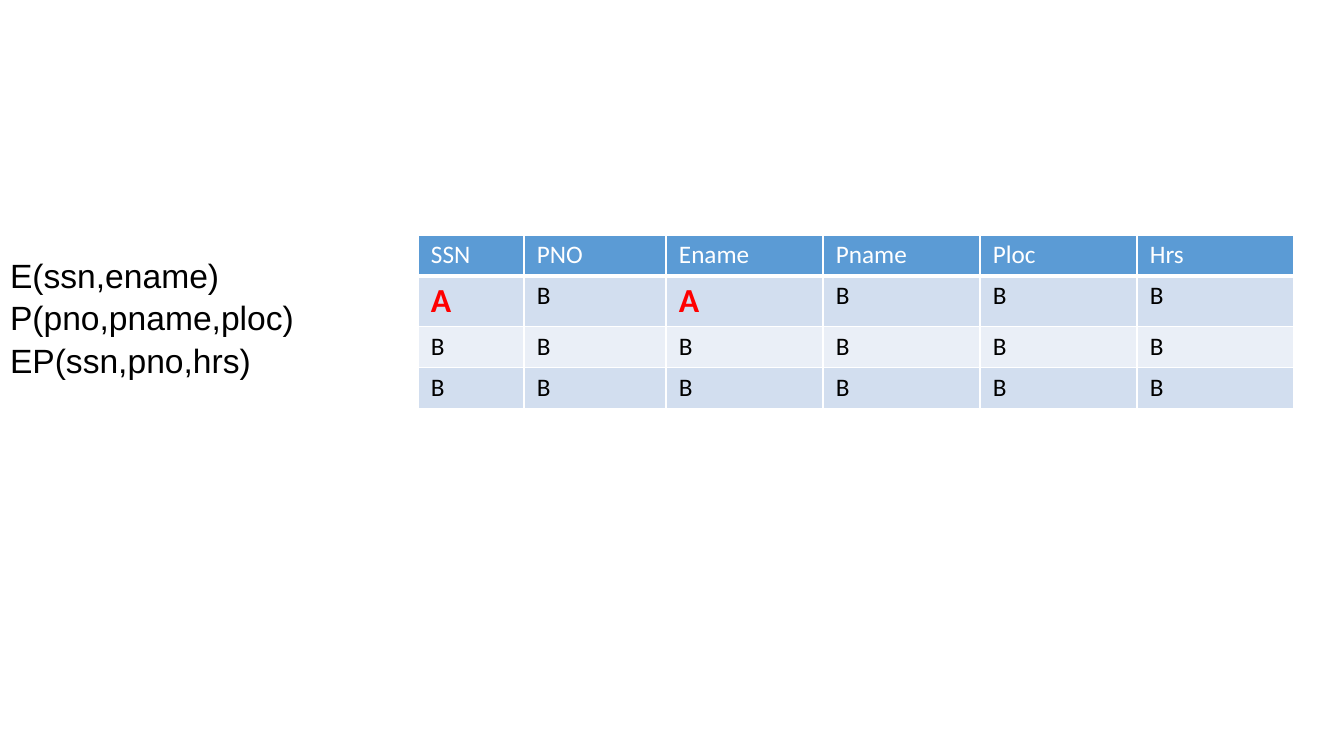
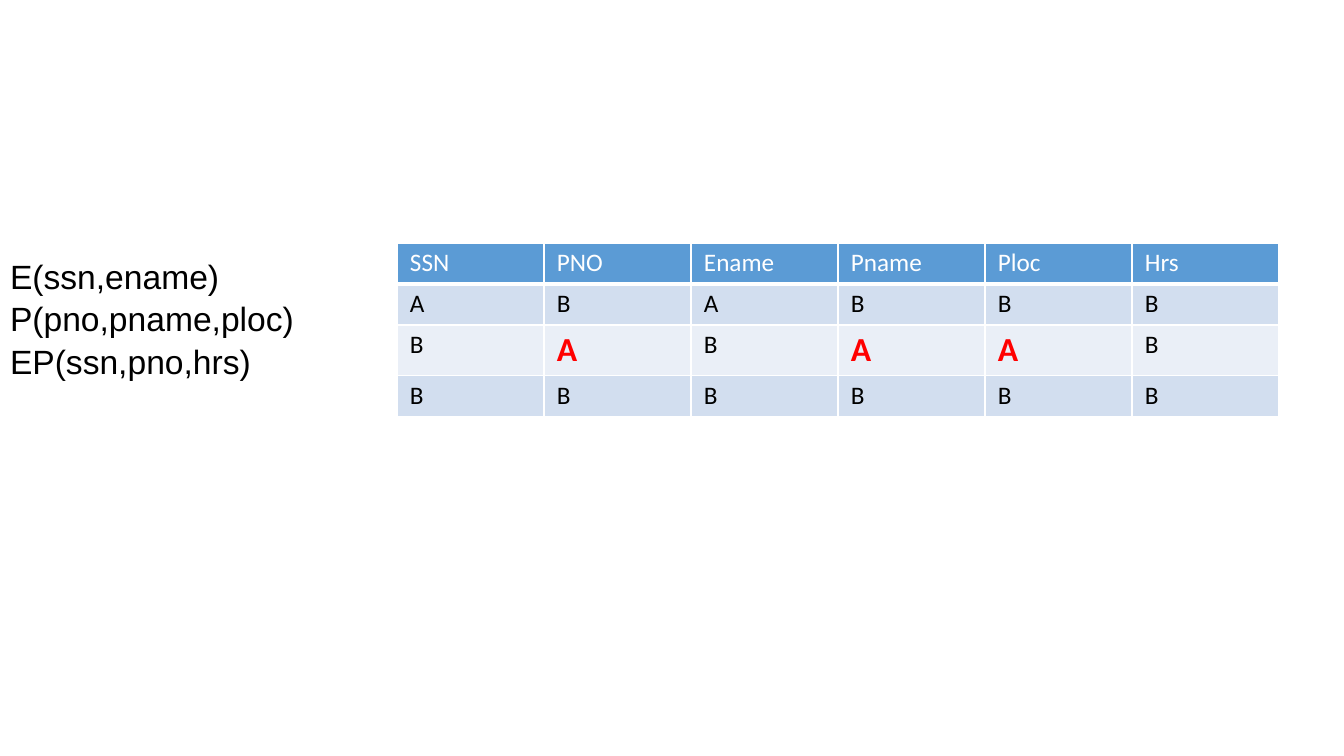
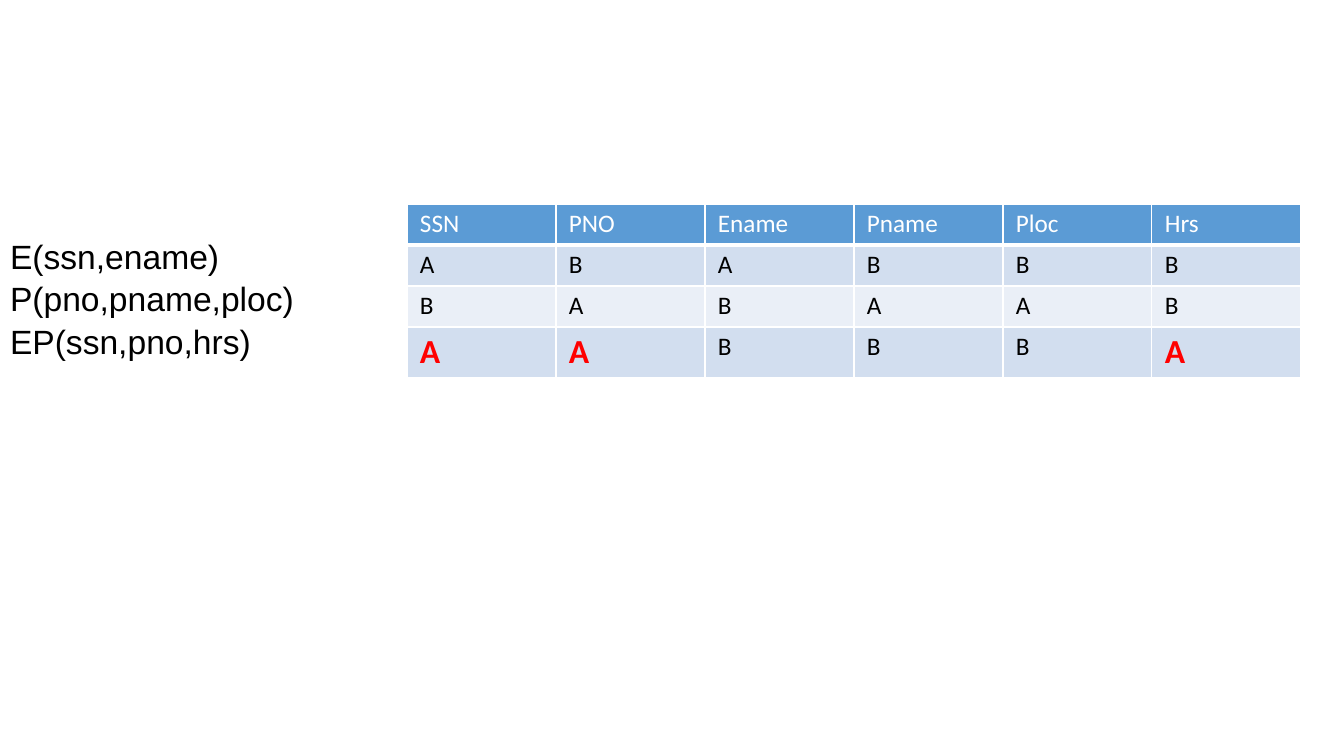
"""Build three slides that mark which attributes each relation of a schema covers."""
from dataclasses import dataclass

from pptx import Presentation
from pptx.dml.color import RGBColor as RGB
from pptx.enum.text import MSO_ANCHOR as ANCHOR, PP_ALIGN as ALIGN
from pptx.oxml.ns import qn
from pptx.util import Pt
from lxml.etree import SubElement

ATTRIBUTES = ("SSN", "PNO", "Ename", "Pname", "Ploc", "Hrs")
RELATIONS = ("E(ssn,ename)", "P(pno,pname,ploc)", "EP(ssn,pno,hrs)")

STEPS = (
    dict(marks=("ABABBB", "BBBBBB", "BBBBBB"), current=0, schema_top=108,
         schema_inset=168, left=418, top=235, widths=(106, 142) + (157,) * 4),
    dict(marks=("ABABBB", "BABAAB", "BBBBBB"), current=1, schema_top=109,
         schema_inset=168, left=397, top=243, widths=(147,) * 6),
    dict(marks=("ABABBB", "BABAAB", "AABBBA"), current=2, schema_top=109,
         schema_inset=128, left=407, top=204, widths=(149,) * 6),
)

SLIDE_WIDTH, SLIDE_HEIGHT = 1344, 756
ROW_HEIGHT = 41
INSET_X, INSET_Y = 10, 5
CELL_INSET_X = 13


@dataclass(frozen=True)
class Theme:
    ink: str = "000000"
    accent: str = "FF0000"
    header: str = "5B9BD5"
    bands: tuple = ("D2DEEF", "EAEFF7")
    paper: str = "FFFFFF"
    schema_font: str = "Arial"
    table_font: str = "Calibri"
    large: int = 24
    normal: int = 18
    rule: int = 1
    header_rule: int = 3


THEME = Theme()


def px(length):
    return round(length * 12192000 / SLIDE_WIDTH)


def write(frame, *lines, font, size=THEME.normal, color=THEME.ink, bold=False,
          spacing=None):
    for index, line in enumerate(lines):
        paragraph = frame.add_paragraph() if index else frame.paragraphs[0]
        paragraph.alignment = ALIGN.LEFT
        paragraph.line_spacing = spacing
        run = paragraph.add_run()
        run.text = line
        run.font.name, run.font.size, run.font.bold = font, Pt(size), bold
        run.font.color.rgb = RGB.from_string(color)


def set_borders(cell, bottom):
    properties = cell._tc.get_or_add_tcPr()
    weights = dict(lnL=THEME.rule, lnR=THEME.rule, lnT=THEME.rule, lnB=bottom)
    for side, weight in weights.items():
        border = SubElement(properties, qn(f"a:{side}"), w=str(Pt(weight)))
        fill = SubElement(border, qn("a:solidFill"))
        SubElement(fill, qn("a:srgbClr"), val=THEME.paper)


def fill_cell(cell, text, fill, bottom=THEME.rule, **style):
    cell.margin_left = cell.margin_right = px(CELL_INSET_X)
    cell.margin_top = cell.margin_bottom = px(INSET_Y)
    cell.vertical_anchor = ANCHOR.TOP
    set_borders(cell, bottom)
    cell.fill.solid()
    cell.fill.fore_color.rgb = RGB.from_string(fill)
    write(cell.text_frame, text, font=THEME.table_font, **style)


def add_schema(slide, top, inset):
    schema = slide.shapes.add_textbox(0, px(top), px(SLIDE_WIDTH),
                                      px(SLIDE_HEIGHT - top)).text_frame
    schema.word_wrap = True
    schema.margin_left = schema.margin_right = px(INSET_X)
    schema.margin_top, schema.margin_bottom = px(inset), px(INSET_Y)
    write(schema, *RELATIONS, font=THEME.schema_font, size=THEME.large, spacing=1.05)


def add_matrix(slide, marks, current, left, top, widths):
    row_count = len(marks) + 1
    matrix = slide.shapes.add_table(
        row_count, len(ATTRIBUTES), px(left), px(top),
        px(sum(widths)), px(ROW_HEIGHT * row_count)).table
    matrix.horz_banding = False
    for column, width in zip(matrix.columns, widths):
        column.width = px(width)
    for row in matrix.rows:
        row.height = px(ROW_HEIGHT)
    for column, attribute in enumerate(ATTRIBUTES):
        fill_cell(matrix.cell(0, column), attribute, THEME.header,
                  bottom=THEME.header_rule, color=THEME.paper)
    highlight = dict(size=THEME.large, color=THEME.accent, bold=True)
    for row, relation_marks in enumerate(marks):
        for column, mark in enumerate(relation_marks):
            style = highlight if row == current and mark == "A" else {}
            fill_cell(matrix.cell(row + 1, column), mark, THEME.bands[row % 2], **style)


def main():
    deck = Presentation()
    deck.slide_width, deck.slide_height = px(SLIDE_WIDTH), px(SLIDE_HEIGHT)
    for step in STEPS:
        slide = deck.slides.add_slide(deck.slide_layouts[6])
        add_schema(slide, step["schema_top"], step["schema_inset"])
        add_matrix(slide, step["marks"], step["current"],
                   step["left"], step["top"], step["widths"])
    deck.save("out.pptx")


if __name__ == "__main__":
    main()
